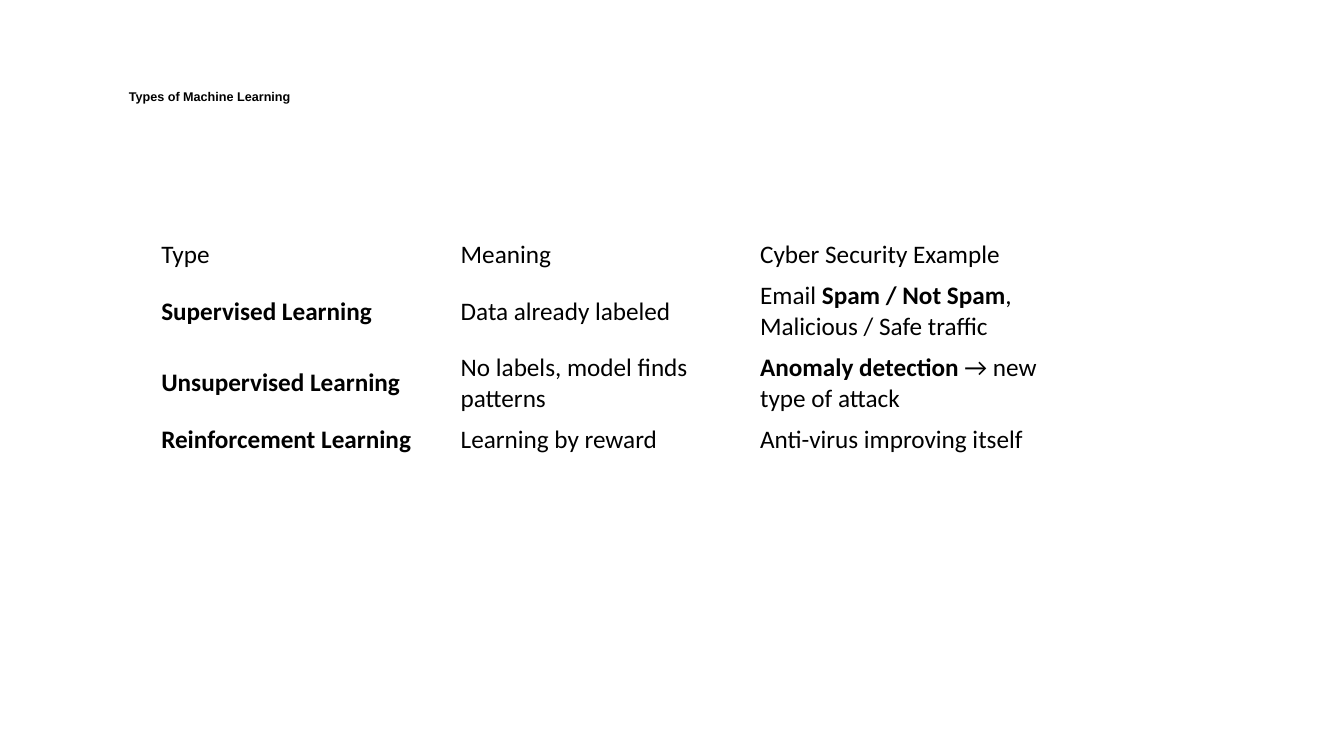
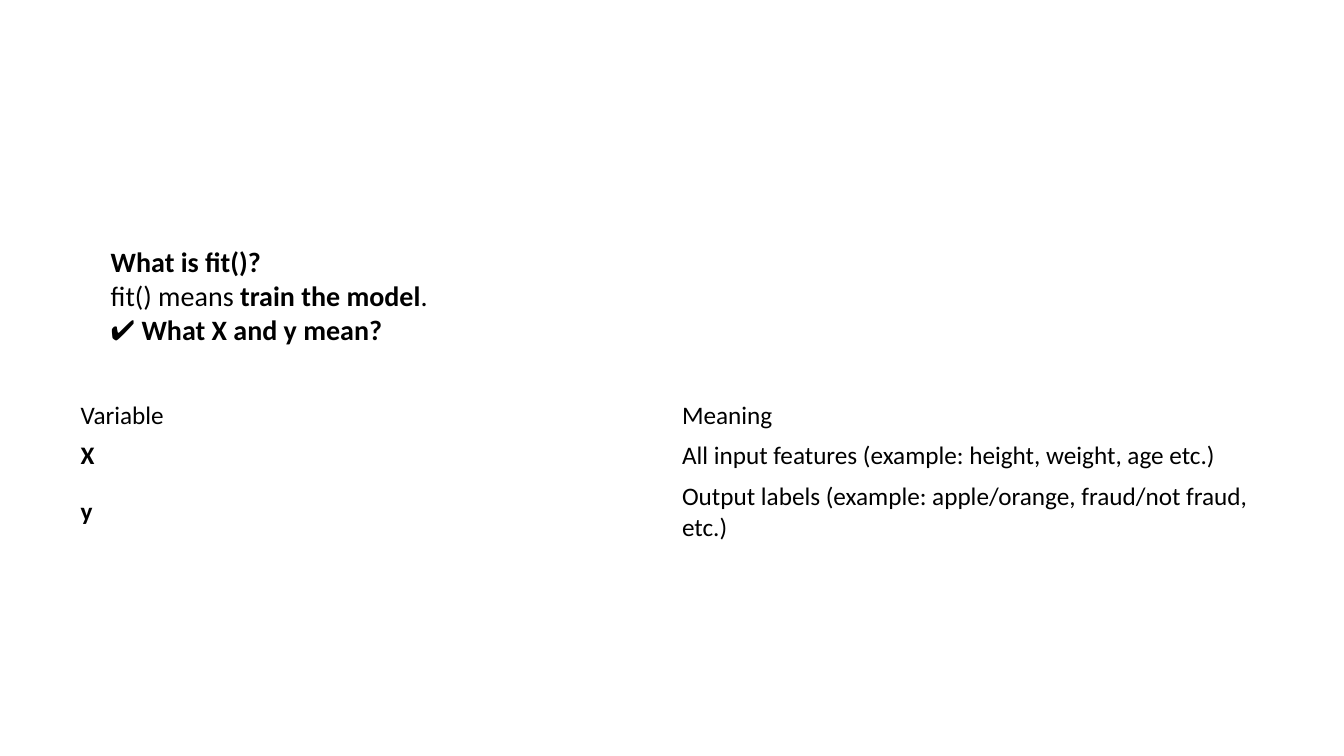
from pptx import Presentation
from pptx import util as u
from pptx.dml.color import RGBColor
from pptx.enum import text

WIDE, HIGH = u.Inches(13.33), u.Inches(7.5)
INK = RGBColor(0, 0, 0)
BODY, HEAD = "Calibri", "Arial"
MARK = "**"

TYPES = [
    ["Type", "Meaning", "Cyber Security Example"],
    ["**Supervised Learning**", "Data already labeled",
     "Email **Spam / Not Spam**, Malicious / Safe traffic"],
    ["**Unsupervised Learning**", "No labels, model finds patterns",
     "**Anomaly detection** → new type of attack"],
    ["**Reinforcement Learning**", "Learning by reward",
     "Anti-virus improving itself"],
]
TERMS = [
    ["Variable", "Meaning"],
    ["**X**", "All input features (example: height, weight, age etc.)"],
    ["**y**", "Output labels (example: apple/orange, fraud/not fraud, etc.)"],
]
FIT = [
    "**What is fit()?**",
    "fit() means **train the model**.",
    "**✔ What X and y mean?**",
]


def across(share):
    return u.Emu(round(WIDE * share / 100))


def down(share):
    return u.Emu(round(HIGH * share / 100))


def write(para, words, size, face):
    for i, part in enumerate(words.split(MARK)):
        if part:
            run = para.add_run()
            run.text = part
            run.font.bold = i % 2 == 1
    font = para.font
    font.size, font.name = u.Pt(size), face
    font.color.rgb = INK


def block(slide, left, top, width, height, lines, size, face=BODY):
    box = slide.shapes.add_textbox(
        across(left), down(top), across(width), down(height))
    frame = box.text_frame
    frame.word_wrap = True
    frame.vertical_anchor = text.MSO_ANCHOR.TOP
    for i, line in enumerate(lines):
        para = frame.add_paragraph() if i else frame.paragraphs[0]
        write(para, line, size, face)


def grid(slide, left, top, width, rows, size=18):
    tall = down(5.4)
    table = slide.shapes.add_table(
        len(rows), len(rows[0]), across(left), down(top),
        across(width), tall * len(rows)).table
    table.first_row = table.horz_banding = False
    for r, row in enumerate(rows):
        for c, words in enumerate(row):
            cell = table.cell(r, c)
            cell.fill.background()
            cell.vertical_anchor = text.MSO_ANCHOR.MIDDLE
            write(cell.text_frame.paragraphs[0], words, size, BODY)


def main():
    deck = Presentation()
    deck.slide_width, deck.slide_height = WIDE, HIGH
    blank = deck.slide_layouts[6]

    kinds = deck.slides.add_slide(blank)
    grid(kinds, 11.25, 31.07, 66.84, TYPES)
    block(kinds, 8.85, 11.07, 74.72, 7.47,
          ["**Types of Machine Learning**"], 9, HEAD)

    fit = deck.slides.add_slide(blank)
    grid(fit, 5.25, 52.27, 89.5, TERMS)
    block(fit, 7.5, 31.73, 53.71, 19.33, FIT, 20)

    deck.save("out.pptx")


if __name__ == "__main__":
    main()
